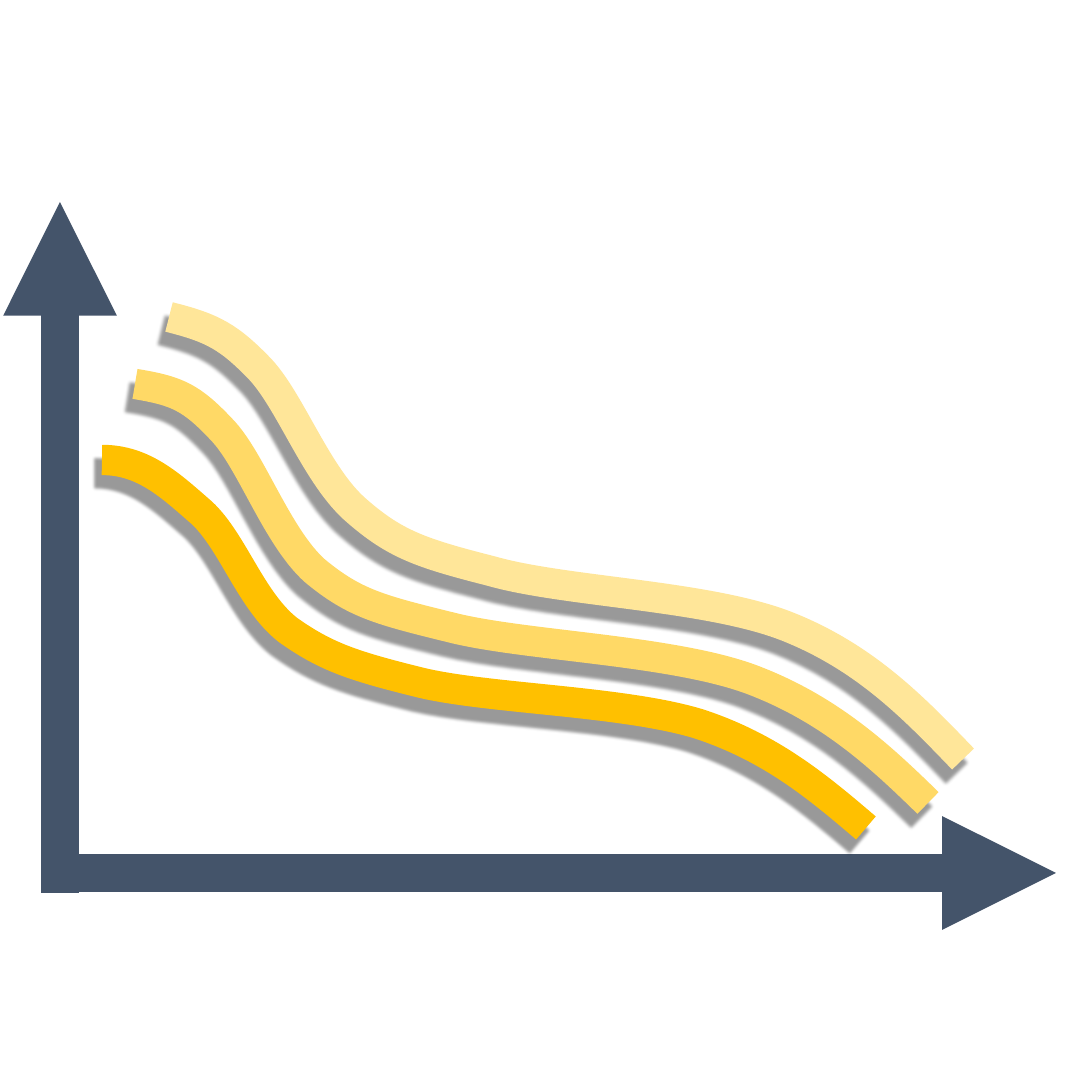
from dataclasses import dataclass

from lxml.etree import SubElement
from pptx import Presentation
from pptx.dml.color import RGBColor as Rgb
from pptx.enum.shapes import MSO_CONNECTOR as Connector
from pptx.oxml.ns import qn
from pptx.util import Inches, Pt

PX = Inches(1) / 182


@dataclass(frozen=True)
class Theme:
    axis: str = "44546A"
    lower: str = "FFC000"
    middle: str = "FFD966"
    upper: str = "FFE699"
    shadow: str = "000000"
    axis_width: int = 15
    curve_width: int = 12


THEME = Theme()

AXES = [((42, 873), (1056, 873)), ((60, 893), (60, 202))]

CURVES = [
    (THEME.middle, [
        (135, 384),
        (177, 391), (191, 397), (222, 430),
        (251, 460), (277, 537), (315, 571),
        (355, 604), (380, 610), (453, 628),
        (526, 646), (670, 650), (750, 679),
        (828, 708), (879, 755), (928, 803)]),
    (THEME.upper, [
        (169, 317),
        (213, 328), (229, 337), (260, 369),
        (291, 402), (317, 477), (357, 511),
        (395, 544), (420, 553), (491, 571),
        (564, 592), (706, 595), (786, 626),
        (865, 657), (914, 708), (963, 759)]),
    (THEME.lower, [
        (102, 460),
        (144, 460), (171, 486), (202, 513),
        (233, 542), (251, 601), (288, 630),
        (326, 657), (353, 666), (422, 683),
        (490, 699), (624, 701), (699, 724),
        (772, 748), (819, 788), (866, 828)]),
]


def px(length):
    return round(length * PX)


def set_line(line, color, width):
    line.fill.solid()
    line.fill.fore_color.rgb = Rgb.from_string(color)
    line.width = Pt(width)


def add_axis(shapes, start, end):
    axis = shapes.add_connector(Connector.STRAIGHT, *map(px, start + end))
    set_line(axis.line, THEME.axis, THEME.axis_width)
    properties = axis._element.spPr
    SubElement(properties.find(qn("a:ln")), qn("a:tailEnd"), type="triangle")
    SubElement(properties, qn("a:effectLst"))


def bend(curve):
    outline = next(curve._element.iter(qn("a:path")))
    corners = outline.findall(qn("a:lnTo"))
    for first in range(0, len(corners), 3):
        bezier = SubElement(outline, qn("a:cubicBezTo"))
        for corner in corners[first:first + 3]:
            bezier.append(corner[0])
            outline.remove(corner)


def cast_shadow(curve):
    curve.shadow.inherit = False
    effects = curve._element.spPr.find(qn("a:effectLst"))
    shadow = SubElement(
        effects, qn("a:outerShdw"), blurRad=str(Pt(1)), dist=str(Pt(6)),
        dir=str(120 * 60000), algn="ctr", rotWithShape="0")
    color = SubElement(shadow, qn("a:srgbClr"), val=THEME.shadow)
    SubElement(color, qn("a:alpha"), val="40000")


def add_curve(shapes, color, points):
    builder = shapes.build_freeform(*points[0], scale=PX)
    builder.add_line_segments(points[1:], close=False)
    curve = builder.convert_to_shape()
    bend(curve)
    curve.fill.background()
    set_line(curve.line, color, THEME.curve_width)
    cast_shadow(curve)


def main():
    deck = Presentation()
    deck.slide_width = deck.slide_height = Inches(6)
    shapes = deck.slides.add_slide(deck.slide_layouts[6]).shapes
    axes = shapes.add_group_shape().shapes
    for start, end in AXES:
        add_axis(axes, start, end)
    for color, points in CURVES:
        add_curve(shapes, color, points)
    deck.save("out.pptx")


main()
